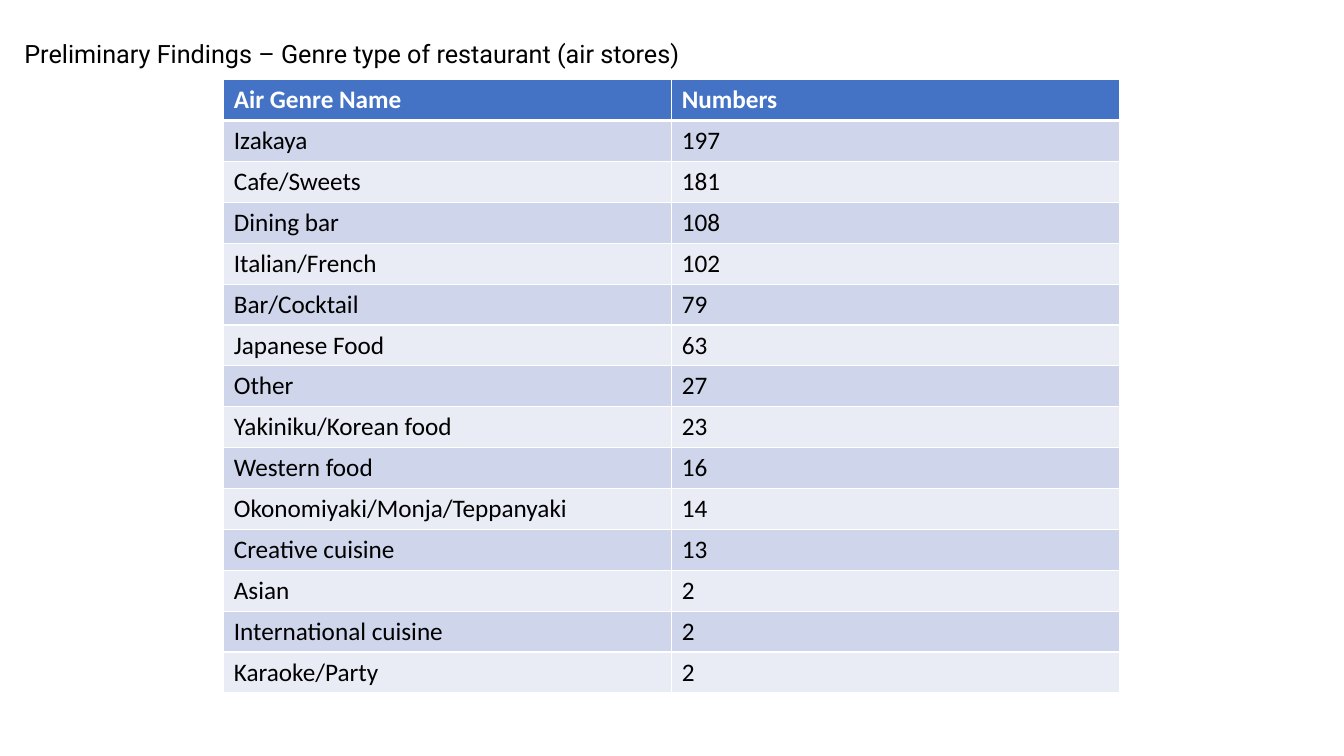
import pptx
import pptx.dml.color
import pptx.enum.text
import pptx.oxml
import pptx.oxml.ns
import pptx.util
from dataclasses import dataclass

Cm = pptx.util.Cm


@dataclass(frozen=True)
class Theme:
    title_font: str = "Roboto"
    table_font: str = "Calibri"
    text_size: int = 18
    text: str = "000000"
    header_text: str = "FFFFFF"
    header_fill: str = "4472C4"
    bands: tuple = ("CFD5EA", "E9EBF5")
    border: str = "FFFFFF"
    border_width: int = 1
    header_rule_width: int = 3


theme = Theme()


def format_text(frame, font_name, color, bold=False):
    for run in frame.paragraphs[0].runs:
        run.font.name = font_name
        run.font.size = pptx.util.Pt(theme.text_size)
        run.font.bold = bold
        run.font.color.rgb = pptx.dml.color.RGBColor.from_string(color)


def add_border(cell, side, width):
    cell._tc.get_or_add_tcPr().append(pptx.oxml.parse_xml(
        f'<a:ln{side} {pptx.oxml.ns.nsdecls("a")} w="{pptx.util.Pt(width)}">'
        f'<a:solidFill><a:srgbClr val="{theme.border}"/></a:solidFill></a:ln{side}>'))


deck = pptx.Presentation()
deck.slide_width, deck.slide_height = Cm(33.87), Cm(19.05)
slide = deck.slides.add_slide(deck.slide_layouts[5])

# Title
title = slide.shapes.title
title.left, title.top, title.width, title.height = Cm(0.36), Cm(0.84), Cm(17.15), Cm(1.03)
title_frame = title.text_frame
title_frame.text = "Preliminary Findings – Genre type of restaurant (air stores)"
title_frame.word_wrap = True
title_frame.auto_size = pptx.enum.text.MSO_AUTO_SIZE.SHAPE_TO_FIT_TEXT
title_frame.vertical_anchor = pptx.enum.text.MSO_ANCHOR.TOP
title_frame.paragraphs[0].alignment = pptx.enum.text.PP_ALIGN.LEFT
format_text(title_frame, theme.title_font, theme.text)

# Genre counts
genre_rows = [
    ("Air Genre Name", "Numbers"),
    ("Izakaya", 197),
    ("Cafe/Sweets", 181),
    ("Dining bar", 108),
    ("Italian/French", 102),
    ("Bar/Cocktail", 79),
    ("Japanese Food", 63),
    ("Other", 27),
    ("Yakiniku/Korean food", 23),
    ("Western food", 16),
    ("Okonomiyaki/Monja/Teppanyaki", 14),
    ("Creative cuisine", 13),
    ("Asian", 2),
    ("International cuisine", 2),
    ("Karaoke/Party", 2),
]

# Genre table
row_height = Cm(1.03)
genre_table = slide.shapes.add_table(
    len(genre_rows), 2, Cm(5.64), Cm(2.01), Cm(22.58), row_height * len(genre_rows)).table
for row in genre_table.rows:
    row.height = row_height

for row_index, values in enumerate(genre_rows):
    is_header = row_index == 0
    fill = theme.header_fill if is_header else theme.bands[(row_index - 1) % 2]
    for column_index, value in enumerate(values):
        cell = genre_table.cell(row_index, column_index)
        cell.text = str(value)
        format_text(cell.text_frame, theme.table_font,
                    theme.header_text if is_header else theme.text, is_header)

        # The rule under the header is shared by the first two rows
        for side in "LRTB":
            under_header = (row_index, side) in ((0, "B"), (1, "T"))
            add_border(cell, side,
                       theme.header_rule_width if under_header else theme.border_width)
        cell.fill.solid()
        cell.fill.fore_color.rgb = pptx.dml.color.RGBColor.from_string(fill)

deck.save("out.pptx")
